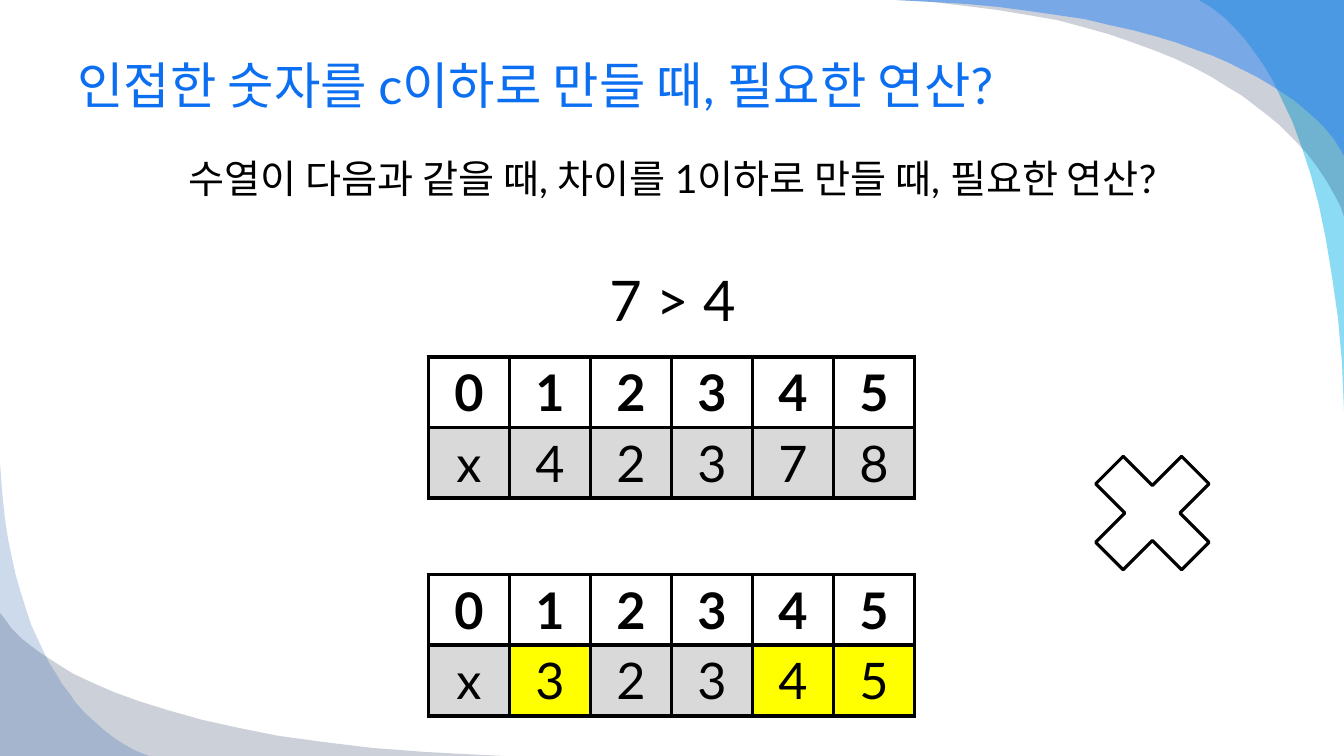
from lxml.etree import SubElement
from pptx import Presentation
from pptx.dml.color import RGBColor
from pptx.enum.shapes import MSO_SHAPE as Preset
from pptx.enum.text import MSO_ANCHOR as Anchor, PP_ALIGN as Align
from pptx.oxml.ns import qn
from pptx.util import Pt

EMU_PER_PX = 9144
SLIDE_W, SLIDE_H = 1333, 750
FONT = "Lato"
COLORS = {
    "title": "0C6FF2", "ink": "000000", "paper": "FFFFFF",
    "value": "D9D9D9", "changed": "FFFF00",
    "cyan": "00B1E9", "navy": "021741", "sky": "247FF4", "blue": "084AA1",
}
# Each swoosh: colour, opacity in percent, outline from the slide corner
SWOOSHES = [
    ("cyan", 45, [(1333, 0), (1189, 0), (1201, 7), (1215, 18), (1225, 28),
                  (1234, 38), (1243, 50), (1253, 64), (1263, 81), (1272, 100),
                  (1282, 121), (1291, 146), (1300, 173), (1308, 203),
                  (1315, 237), (1321, 274), (1327, 315), (1331, 360), (1333, 408)]),
    ("navy", 20, [(1333, 0), (889, 0), (925, 2), (958, 6), (990, 10), (1020, 15),
                  (1049, 20), (1075, 27), (1100, 34), (1123, 42), (1145, 50),
                  (1165, 58), (1184, 67), (1201, 76), (1217, 86), (1232, 95),
                  (1245, 105), (1258, 115), (1269, 124), (1283, 138), (1296, 152),
                  (1306, 165), (1316, 180), (1325, 196), (1330, 206), (1333, 215)]),
    ("sky", 49, [(1333, 0), (889, 0), (925, 2), (959, 4), (991, 7), (1021, 11),
                 (1049, 15), (1076, 19), (1101, 25), (1124, 30), (1146, 36),
                 (1166, 42), (1185, 49), (1202, 55), (1218, 62), (1232, 69),
                 (1246, 76), (1258, 83), (1269, 90), (1284, 100), (1296, 110),
                 (1306, 119), (1314, 127), (1323, 138), (1330, 149), (1333, 155)]),
    ("navy", 20, [(0, 750), (0, 608), (4, 613), (12, 624), (21, 633), (31, 641),
                  (42, 649), (56, 658), (72, 668), (91, 677), (114, 687),
                  (139, 696), (168, 705), (200, 714), (236, 722), (276, 730),
                  (320, 736), (369, 742), (422, 746), (460, 748), (500, 750)]),
    ("blue", 20, [(0, 750), (0, 458), (2, 487), (5, 515), (8, 535), (12, 554),
                  (16, 572), (21, 589), (26, 605), (31, 620), (37, 633),
                  (43, 646), (49, 658), (56, 669), (62, 679), (69, 688),
                  (75, 697), (85, 708), (95, 717), (104, 725), (113, 732),
                  (124, 739), (135, 745), (148, 750)]),
]
INDEXES = "012345"
TABLES = [(354, "x42378", ()), (570, "x32345", (1, 4, 5))]
TABLE_LEFT, TABLE_W, ROW_H = 425, 482, 70


def px(length):
    return length * EMU_PER_PX


def rgb(name):
    return RGBColor.from_string(COLORS[name])


def style(paragraph, size, color="ink", bold=False, align=Align.CENTER):
    paragraph.alignment = align
    for run in paragraph.runs:
        run.font.name = FONT
        run.font.size = Pt(size)
        run.font.bold = bold
        run.font.color.rgb = rgb(color)


def add_swoosh(slide, color, opacity, outline):
    builder = slide.shapes.build_freeform(*outline[0], scale=EMU_PER_PX)
    builder.add_line_segments(outline[1:], close=True)
    swoosh = builder.convert_to_shape()
    swoosh.shadow.inherit = False
    swoosh.line.fill.background()
    swoosh.fill.solid()
    swoosh.fill.fore_color.rgb = rgb(color)
    tint = swoosh.fill._xPr.find(".//" + qn("a:srgbClr"))
    SubElement(tint, qn("a:alpha"), val=str(opacity * 1000))


def add_text(slide, left, top, width, height, text, anchor=Anchor.TOP):
    frame = slide.shapes.add_textbox(*map(px, (left, top, width, height))).text_frame
    frame.word_wrap = True
    frame.vertical_anchor = anchor
    frame.text = text
    return frame.paragraphs


def add_borders(cell, points):
    """Put solid borders ahead of the cell's fill, as the schema requires."""
    properties = cell._tc.get_or_add_tcPr()
    for position, side in enumerate(("lnL", "lnR", "lnT", "lnB")):
        border = SubElement(properties, qn("a:" + side), w=str(Pt(points)))
        fill = SubElement(border, qn("a:solidFill"))
        SubElement(fill, qn("a:srgbClr"), val=COLORS["ink"])
        properties.insert(position, border)


def add_sequence_table(slide, top, values, changed):
    """Draw indexes above values, highlighting the changed columns."""
    table = slide.shapes.add_table(2, len(INDEXES), px(TABLE_LEFT), px(top),
                                   px(TABLE_W), px(2 * ROW_H)).table
    table.first_row = table.horz_banding = False
    for row, digits in enumerate((INDEXES, values)):
        for column, digit in enumerate(digits):
            cell = table.cell(row, column)
            cell.text = digit
            cell.vertical_anchor = Anchor.MIDDLE
            style(cell.text_frame.paragraphs[0], 36, bold=row == 0)
            value_fill = "changed" if column in changed else "value"
            cell.fill.solid()
            cell.fill.fore_color.rgb = rgb(value_fill if row else "paper")
            add_borders(cell, 3)


def add_cross(slide):
    cross = slide.shapes.add_shape(Preset.MATH_MULTIPLY, px(1061), px(427),
                                   px(164), px(164))
    cross.shadow.inherit = False
    cross.fill.solid()
    cross.fill.fore_color.rgb = rgb("paper")
    cross.line.color.rgb = rgb("ink")
    cross.line.width = Pt(2.25)


def main():
    deck = Presentation()
    deck.slide_width, deck.slide_height = px(SLIDE_W), px(SLIDE_H)
    slide = deck.slides.add_slide(deck.slide_layouts[6])

    for swoosh in SWOOSHES:
        add_swoosh(slide, *swoosh)

    title = add_text(slide, 67, 33, 1200, 101,
                     "인접한 숫자를 c이하로 만들 때, 필요한 연산?", Anchor.MIDDLE)
    style(title[0], 36, "title", align=Align.LEFT)

    question, comparison = add_text(
        slide, 67, 148, 1200, 168,
        "수열이 다음과 같을 때, 차이를 1이하로 만들 때, 필요한 연산?\n7 > 4")
    style(question, 28)
    style(comparison, 40)
    comparison.space_before = Pt(46)

    for table in TABLES:
        add_sequence_table(slide, *table)
    add_cross(slide)
    deck.save("out.pptx")


if __name__ == "__main__":
    main()
